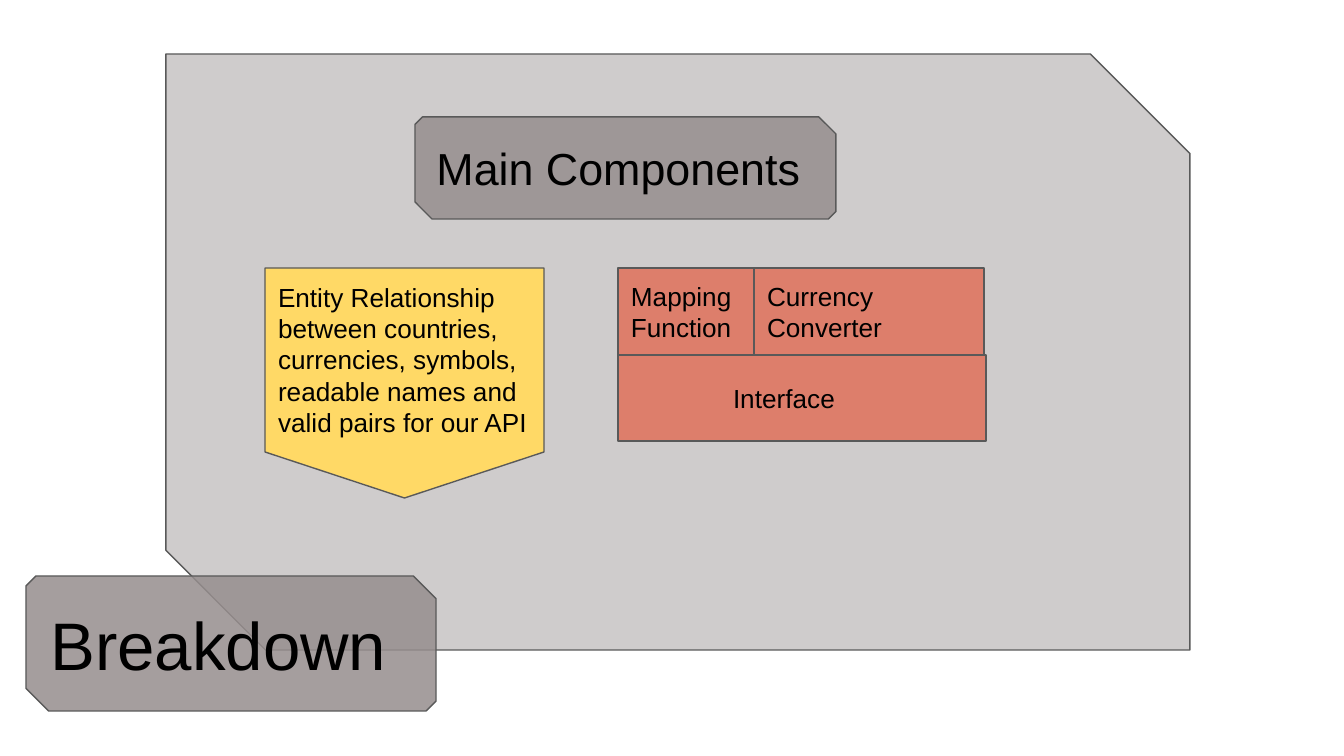
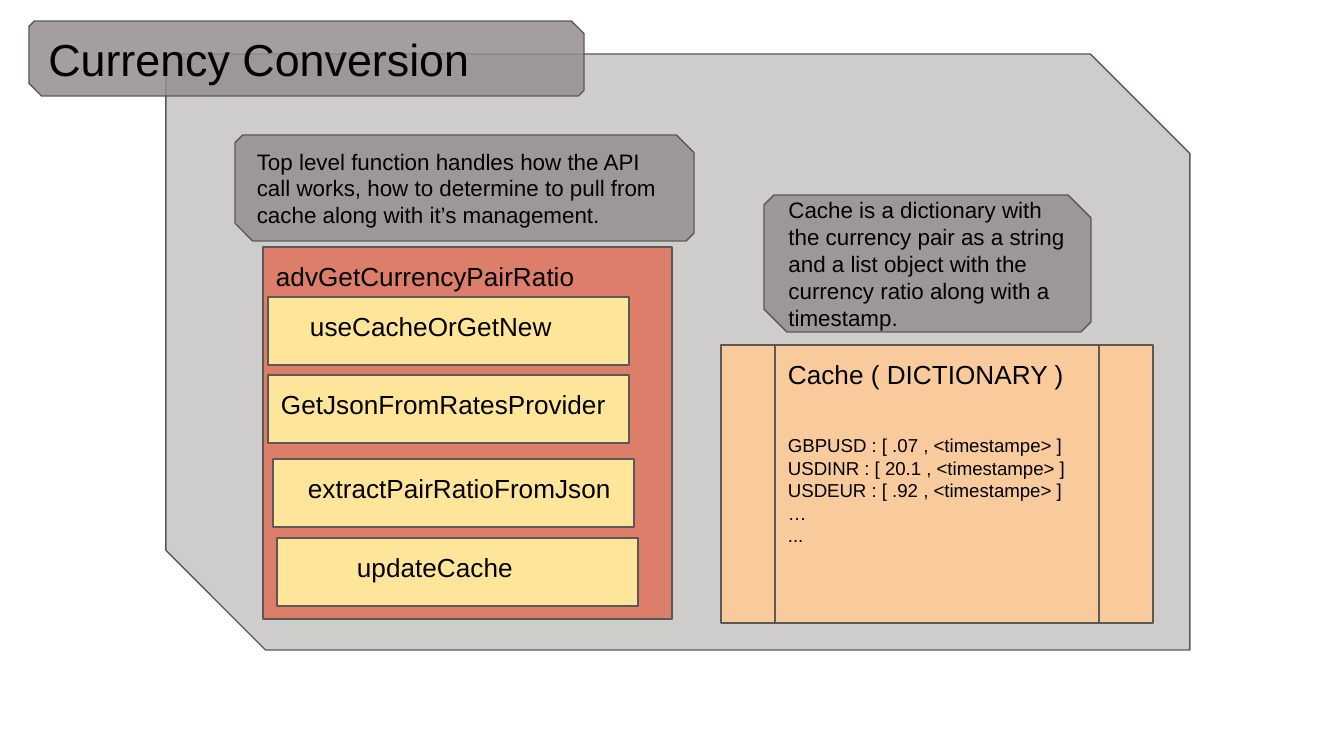
from dataclasses import dataclass

from lxml.etree import SubElement
from pptx import Presentation
from pptx.dml.color import RGBColor
from pptx.enum.shapes import MSO_SHAPE as Geometry
from pptx.enum.text import MSO_ANCHOR as Anchor, PP_ALIGN as Align
from pptx.oxml.ns import qn
from pptx.util import Emu, Pt

# Content: (look, box in px, lines); a line is (text, size name, indent px, space before pt)
PANEL = ("panel", (166, 54, 1024, 596), [])

BREAKDOWN = [
    PANEL,
    ("label", (26, 576, 410, 135), [("Breakdown", "title")]),
    ("data", (265, 268, 279, 230), [
        ("Entity Relationship", "body"),
        ("between countries, currencies, symbols, readable names and "
         "valid pairs for our API", "body"),
    ]),
    ("module", (618, 268, 136, 87), [("Mapping Function", "body")]),
    ("module", (618, 355, 368, 86), [("Interface", "body", 102)]),
    ("module", (754, 268, 230, 87), [("Currency Converter", "body")]),
    ("label", (415, 117, 421, 102), [("Main Components", "heading")]),
]

STEP_SIZE = (361, 68)
STEPS = [  # left, top, function, indent
    (268, 297, "useCacheOrGetNew", 29),
    (268, 375, "GetJsonFromRatesProvider", 0),
    (273, 459, "extractPairRatioFromJson", 22),
    (277, 538, "updateCache", 67),
]
PAIR_RATIO = [
    ("function", (263, 247, 409, 372), [("advGetCurrencyPairRatio", "body")]),
    *[("step", (left, top, *STEP_SIZE), [(name, "body", indent)])
      for left, top, name, indent in STEPS],
]

CACHE_ROWS = [
    "USDINR : [ 20.1 , <timestampe> ]",
    "USDEUR : [ .92 , <timestampe> ]",
    "…",
    "...",
]
CONVERSION = [
    PANEL,
    ("label", (29, 21, 555, 75), [("Currency Conversion", "heading")]),
    PAIR_RATIO,
    ("cache", (721, 345, 432, 278), [
        ("Cache ( DICTIONARY )", "body"),
        ("GBPUSD : [ .07 , <timestampe> ]", "code", 0, 24),
        *[(row, "code") for row in CACHE_ROWS],
    ]),
    ("label", (235, 135, 459, 106), [
        ("Top level function handles how the API call works, how to determine "
         "to pull from cache along with it’s management.", "note"),
    ]),
    ("label", (764, 195, 327, 137), [
        ("Cache is a dictionary with the currency pair as a string and a list "
         "object with the currency ratio along with a timestamp.", "note"),
    ]),
]


# Theme
@dataclass(frozen=True)
class Look:
    geometry: Geometry
    fill: str
    anchor: Anchor = Anchor.TOP
    opacity: int = 100
    snips: tuple = ()


class Theme:
    font = "Arial"
    ink = "000000"
    outline = "595959"
    outline_width = Pt(0.75)
    inset = 13
    sizes = {"title": 36, "heading": 24, "body": 14, "note": 12, "code": 10}
    grey = "968E8E"
    red = "DD7E6B"
    looks = {
        "panel": Look(Geometry.SNIP_2_DIAG_RECTANGLE, grey,
                      opacity=45, snips=(0, 0.167)),
        "label": Look(Geometry.SNIP_2_DIAG_RECTANGLE, grey, Anchor.MIDDLE,
                      opacity=85, snips=(0.073, 0.167)),
        "data": Look(Geometry.FLOWCHART_OFFPAGE_CONNECTOR, "FFD966"),
        "module": Look(Geometry.RECTANGLE, red, Anchor.MIDDLE),
        "function": Look(Geometry.RECTANGLE, red),
        "step": Look(Geometry.RECTANGLE, "FFE599"),
        "cache": Look(Geometry.FLOWCHART_PREDEFINED_PROCESS, "F9CB9C"),
    }


SLIDE_SIZE = (1344, 756)
EMU_PER_PX = 914400 / 134.4


def px(length):
    return Emu(round(length * EMU_PER_PX))


def color(code):
    return RGBColor.from_string(code)


# Drawing
def paint(shape, look):
    shape.shadow.inherit = False
    shape.fill.solid()
    shape.fill.fore_color.rgb = color(look.fill)
    if look.opacity < 100:
        tint = next(shape._element.spPr.iter(qn("a:srgbClr")))
        SubElement(tint, qn("a:alpha")).set("val", str(look.opacity * 1000))
    shape.line.color.rgb = color(Theme.outline)
    shape.line.width = Theme.outline_width
    for index, snip in enumerate(look.snips):
        shape.adjustments[index] = snip


def write(frame, anchor, lines):
    frame.word_wrap = True
    frame.vertical_anchor = anchor
    frame.margin_left = frame.margin_right = px(Theme.inset)
    frame.margin_top = frame.margin_bottom = px(Theme.inset)
    for index, (text, size, *spacing) in enumerate(lines):
        indent, gap = (*spacing, 0, 0)[:2]
        paragraph = frame.add_paragraph() if index else frame.paragraphs[0]
        paragraph.text = text
        paragraph.alignment = Align.LEFT
        paragraph.space_before = Pt(gap)
        paragraph.font.name = Theme.font
        paragraph.font.size = Pt(Theme.sizes[size])
        paragraph.font.color.rgb = color(Theme.ink)
        if indent:
            paragraph._p.get_or_add_pPr().set("marL", str(px(indent)))


def draw(shapes, parts):
    for part in parts:
        if isinstance(part, list):  # a nested list becomes a group
            draw(shapes.add_group_shape().shapes, part)
            continue
        kind, box, lines = part
        look = Theme.looks[kind]
        shape = shapes.add_shape(look.geometry, *map(px, box))
        paint(shape, look)
        if lines:
            write(shape.text_frame, look.anchor, lines)


def main():
    deck = Presentation()
    deck.slide_width, deck.slide_height = map(px, SLIDE_SIZE)
    blank = deck.slide_layouts[6]
    for parts in (BREAKDOWN, CONVERSION):
        draw(deck.slides.add_slide(blank).shapes, parts)
    deck.save("out.pptx")


if __name__ == "__main__":
    main()
